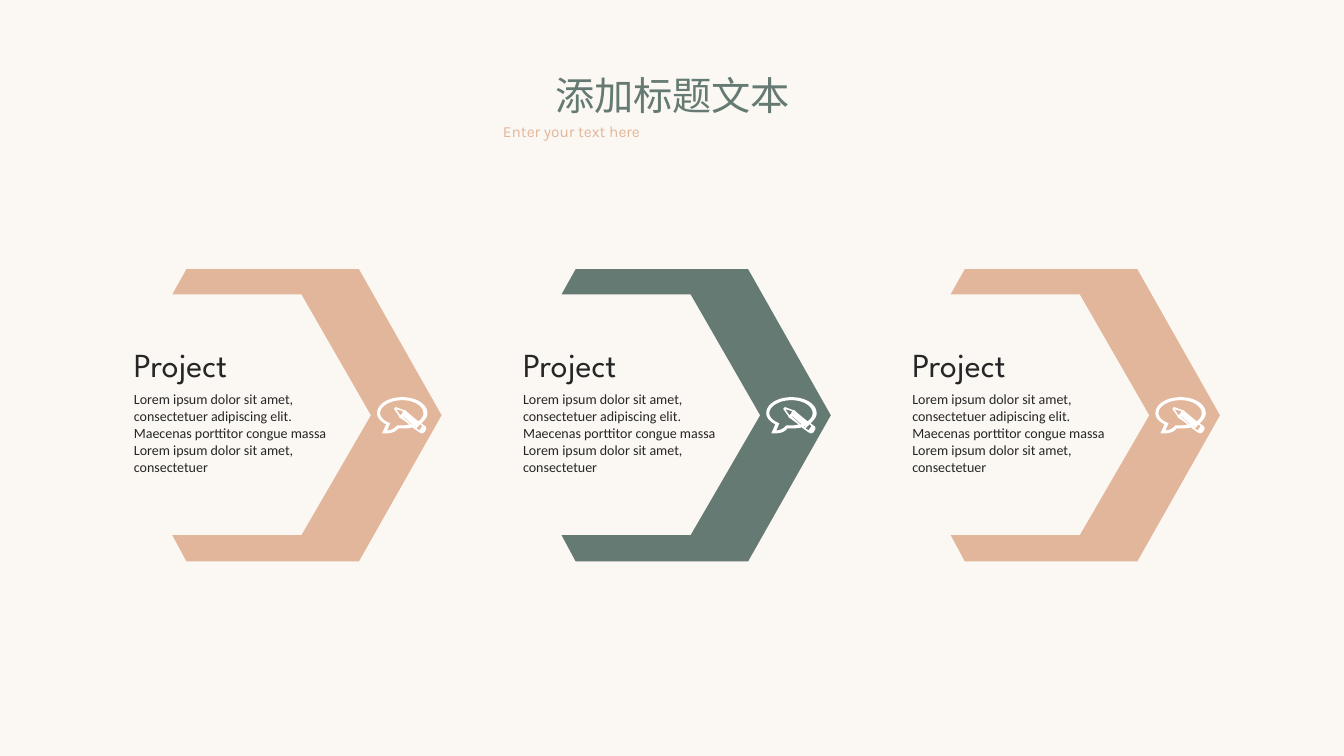
from lxml import etree
from pptx import Presentation
from pptx.dml.color import RGBColor
from pptx.enum.text import MSO_AUTO_SIZE, PP_ALIGN
from pptx.oxml.ns import qn
from pptx.util import Inches, Pt

CREAM = RGBColor(0xFB, 0xF7, 0xF3)
GREEN = RGBColor(0x64, 0x7A, 0x72)
PEACH = RGBColor(0xE2, 0xB6, 0x9A)
DARK = RGBColor(0x26, 0x26, 0x26)
WHITE = RGBColor(0xFF, 0xFF, 0xFF)
LEFT, MID, JUST = PP_ALIGN.LEFT, PP_ALIGN.CENTER, PP_ALIGN.JUSTIFY
GROW = MSO_AUTO_SIZE.SHAPE_TO_FIT_TEXT

LOREM = ("Lorem ipsum dolor sit amet, consectetuer adipiscing elit. "
         "Maecenas porttitor congue massa Lorem ipsum dolor sit amet, consectetuer")

ARROW = [[(0.14, 0), (1.85, 0), (2.67, 1.45), (1.85, 2.9), (0.14, 2.9),
          (0, 2.64), (1.28, 2.64), (1.97, 1.45), (1.28, 0.25), (0, 0.25)]]

BUBBLE = [(0.48, 0.29), (0.44, 0.26), (0.47, 0.23, 0.5, 0.2, 0.5, 0.16),
          (0.5, 0.07, 0.39, 0, 0.25, 0), (0.11, 0, 0, 0.07, 0, 0.16),
          (0, 0.2, 0.03, 0.24, 0.09, 0.27), (0.05, 0.36), (0.08, 0.36),
          (0.15, 0.36, 0.19, 0.34, 0.21, 0.31), (0.25, 0.31),
          (0.29, 0.31, 0.32, 0.31, 0.35, 0.3), (0.42, 0.35), (0.44, 0.36),
          (0.46, 0.36, 0.47, 0.35, 0.48, 0.33),
          (0.49, 0.32, 0.49, 0.3, 0.48, 0.29)]
HOLE = [(0.25, 0.28), (0.2, 0.28), (0.19, 0.29),
        (0.17, 0.31, 0.14, 0.33, 0.1, 0.33), (0.13, 0.26), (0.11, 0.25),
        (0.06, 0.23, 0.03, 0.19, 0.03, 0.16),
        (0.03, 0.09, 0.13, 0.03, 0.25, 0.03),
        (0.37, 0.03, 0.46, 0.09, 0.46, 0.16),
        (0.46, 0.19, 0.44, 0.22, 0.41, 0.24), (0.3, 0.15), (0.28, 0.13),
        (0.27, 0.13), (0.19, 0.1), (0.18, 0.1, 0.17, 0.11, 0.17, 0.12),
        (0.22, 0.19), (0.22, 0.2), (0.25, 0.22), (0.32, 0.27),
        (0.3, 0.28, 0.27, 0.28, 0.25, 0.28)]
SLIT = [(0.25, 0.19), (0.26, 0.19), (0.35, 0.27), (0.34, 0.27)]
TIP = [(0.25, 0.16), (0.23, 0.18), (0.19, 0.12), (0.26, 0.14), (0.25, 0.15)]
BAND = [(0.38, 0.3), (0.37, 0.29), (0.39, 0.29)]
END = [(0.44, 0.3), (0.42, 0.33), (0.39, 0.31), (0.43, 0.27), (0.45, 0.29)]
ICON = [BUBBLE, HOLE, SLIT, TIP, BAND, END]


def flatten(path, steps=10):
    points = [path[0]]
    for seg in path[1:]:
        if len(seg) == 2:
            points.append(seg)
            continue
        ends = [points[-1], seg[:2], seg[2:4], seg[4:]]
        for i in range(1, steps + 1):
            t = i / steps
            u = 1 - t
            mix = (u ** 3, 3 * u * u * t, 3 * u * t * t, t ** 3)
            points.append(tuple(sum(m * p[k] for m, p in zip(mix, ends))
                                for k in (0, 1)))
    return [(Inches(x), Inches(y)) for x, y in points]


def outline(slide, x, y, paths, color):
    rings = [flatten(path) for path in paths]
    pen = slide.shapes.build_freeform(*rings[0][0], scale=1.0)
    pen.add_line_segments(rings[0][1:], close=True)
    for ring in rings[1:]:
        pen.move_to(*ring[0])
        pen.add_line_segments(ring[1:], close=True)
    shape = pen.convert_to_shape(Inches(x), Inches(y))
    shape.shadow.inherit = False
    shape.fill.solid()
    shape.fill.fore_color.rgb = color
    shape.line.fill.background()


def label(slide, box, text, size, font, color, align=LEFT, wrap=True):
    frame = slide.shapes.add_textbox(*map(Inches, box)).text_frame
    frame.word_wrap = wrap
    frame.auto_size = GROW
    para = frame.paragraphs[0]
    para.alignment = align
    run = para.add_run()
    run.text = text
    run.font.size = Pt(size)
    run.font.name = font
    run.font.color.rgb = color
    east = etree.SubElement(run.font._element, qn("a:ea"))
    east.set("typeface", font)


def header(slide, x, y):
    label(slide, (x + 0.5, y, 2.56, 0.57), "添加标题文本", 28,
          "Noto Sans CJK SC", GREEN, MID, False)
    label(slide, (x, y + 0.5, 3.55, 0.29), "Enter your text here", 11,
          "Karla", PEACH, JUST)


def panel(slide, x, y, color):
    outline(slide, x + 0.48, y, ARROW, color)
    label(slide, (x, y + 1.16, 2.15, 0.94), LOREM, 10, "Calibri", DARK)
    label(slide, (x, y + 0.69, 1.34, 0.5), "Project", 24,
          "League Spartan", DARK, wrap=False)
    outline(slide, x + 2.51, y + 1.27, ICON, WHITE)


def main():
    deck = Presentation()
    deck.slide_width = Inches(13.33)
    deck.slide_height = Inches(7.5)
    slide = deck.slides.add_slide(deck.slide_layouts[6])
    slide.background.fill.solid()
    slide.background.fill.fore_color.rgb = CREAM
    header(slide, 4.89, 0.66)
    for i, color in enumerate((PEACH, GREEN, PEACH)):
        panel(slide, 1.23 + 3.86 * i, 2.67, color)
    deck.save("out.pptx")


if __name__ == "__main__":
    main()
